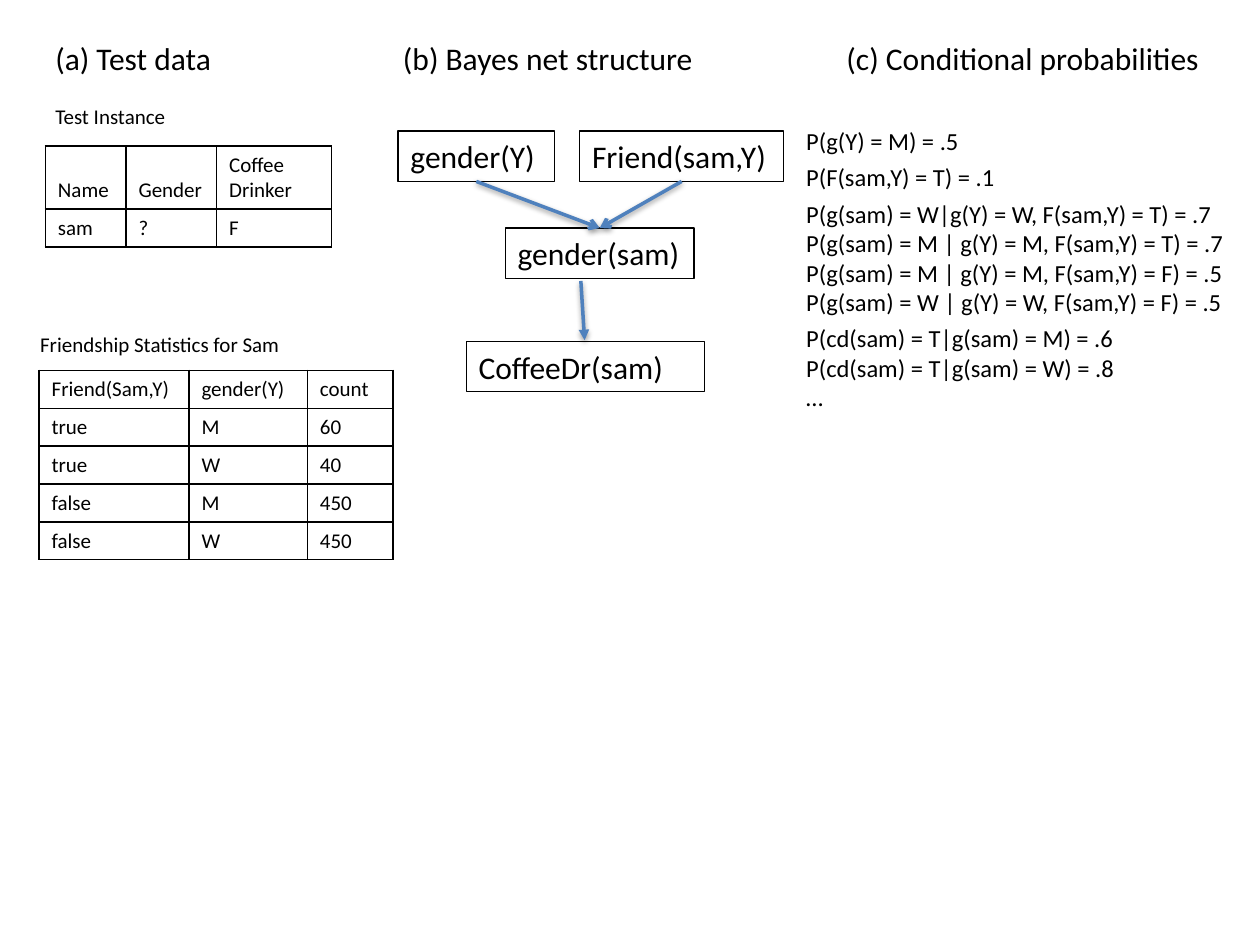
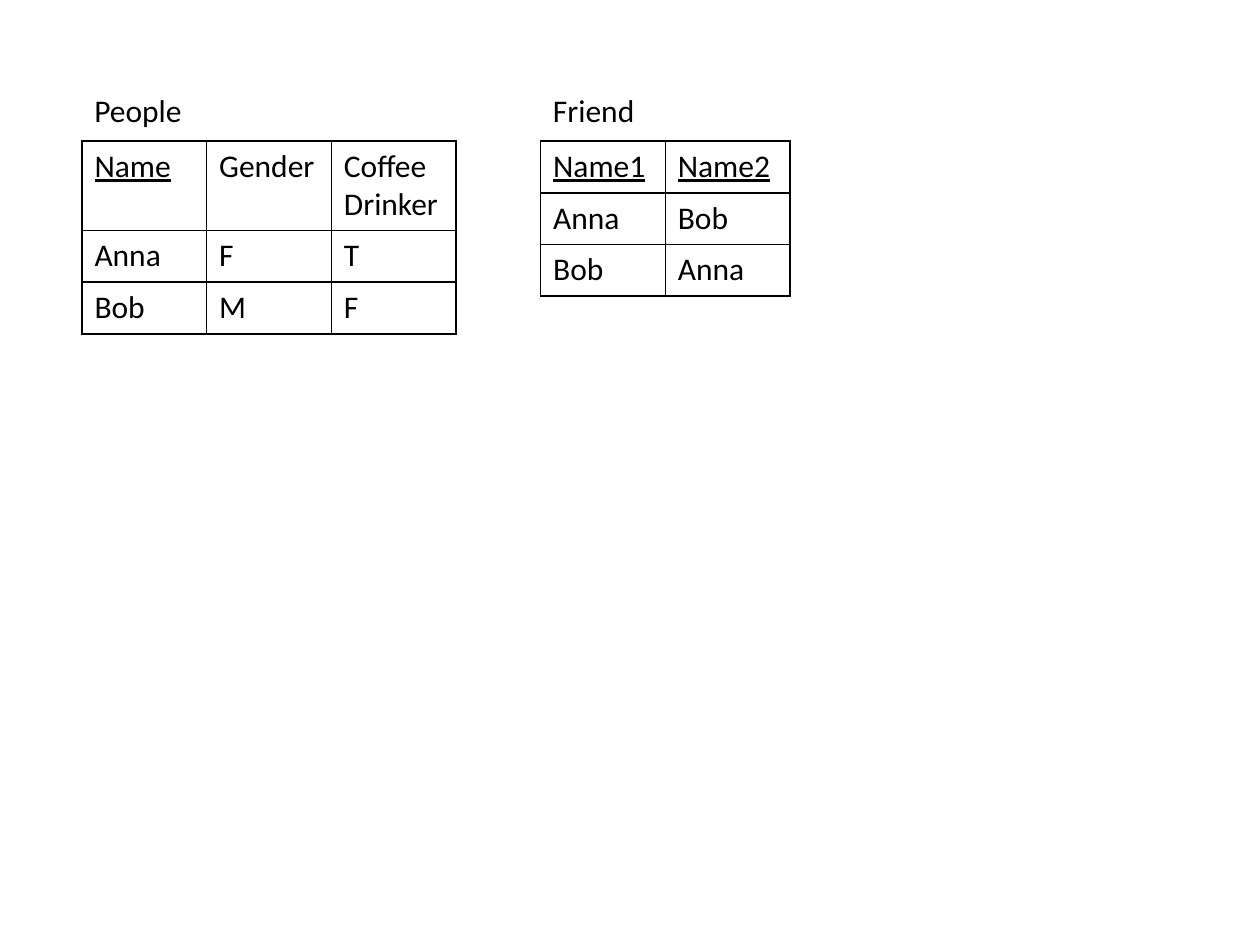
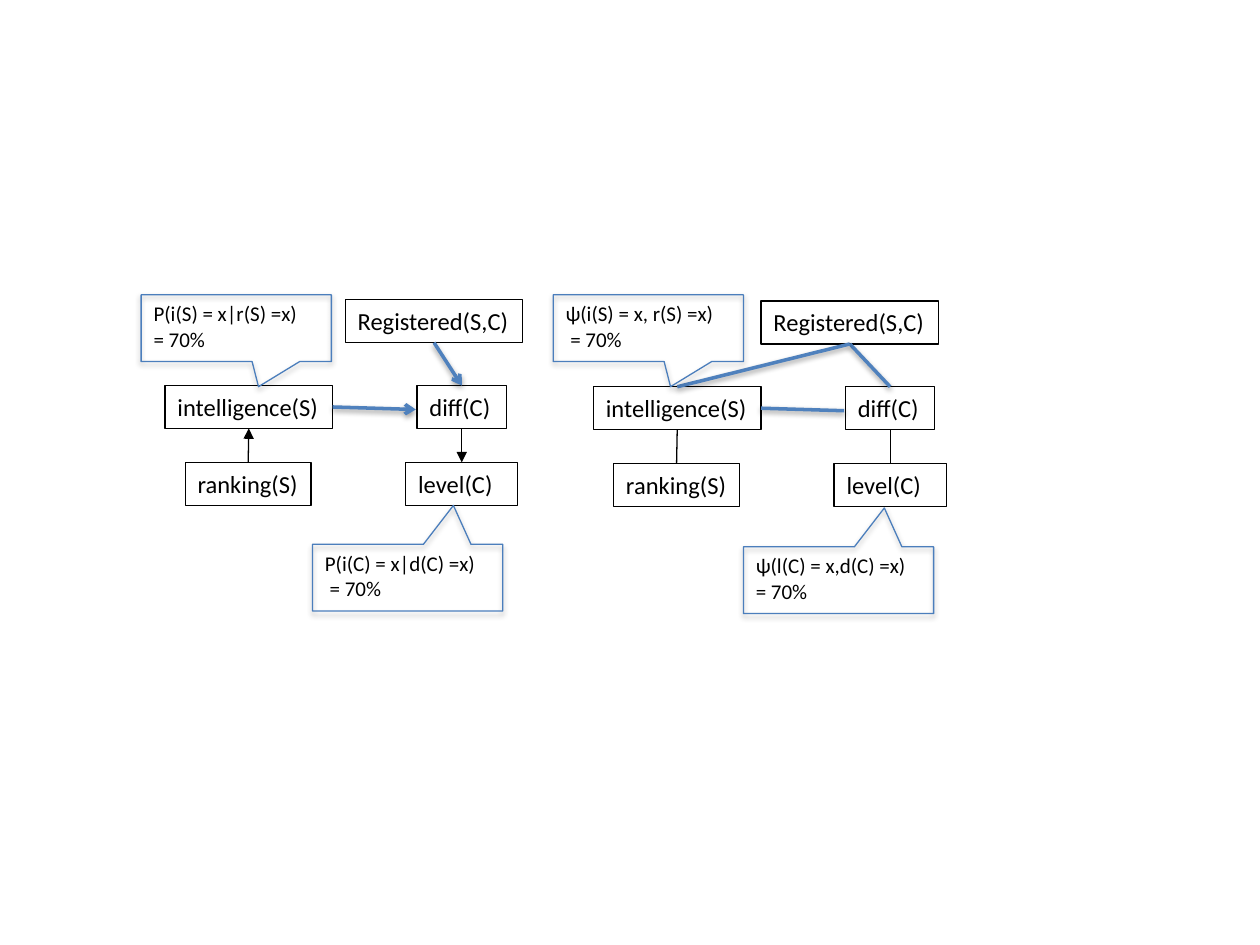
from lxml import etree
from pptx import Presentation
from pptx.dml.color import RGBColor
from pptx.enum.shapes import MSO_CONNECTOR, MSO_SHAPE
from pptx.enum.text import MSO_ANCHOR, MSO_AUTO_SIZE, PP_ALIGN
from pptx.oxml.ns import qn
from pptx.util import Emu, Pt

RECT = MSO_SHAPE.RECTANGLE
BUBBLE = MSO_SHAPE.RECTANGULAR_CALLOUT
LINE = MSO_CONNECTOR.STRAIGHT
TOP, FOOT = MSO_ANCHOR.TOP, MSO_ANCHOR.BOTTOM
LEFT = PP_ALIGN.LEFT
GROW = MSO_AUTO_SIZE.SHAPE_TO_FIT_TEXT

FONT = "Calibri"
INK = {"text": "000000", "blue": "4F81BD", "rim": "4B7EBC"}
UP, DOWN = 0, 2  # connection sites at the top and foot of a box


def px(num):
    """One px is a hundredth of an inch."""
    return Emu(num * 9144)


def hue(name):
    return RGBColor.from_string(INK[name])


# Text
def write(para, text, size, under=False):
    para.alignment = LEFT
    for num, part in enumerate(text.split("\n")):
        if num:
            para.add_line_break()
        run = para.add_run()
        run.text = part
        font = run.font
        font.name, font.size, font.underline = FONT, Pt(size), under
        font.color.rgb = hue("text")


def fill_text(frame, groups, size, wrap):
    """Each group is a list of lines; later groups start with a small gap."""
    frame.word_wrap = wrap
    frame.auto_size = GROW
    frame.vertical_anchor = TOP
    para = None
    for lines in groups:
        for num, line in enumerate(lines):
            gap = para is not None and num == 0
            para = frame.add_paragraph() if para is not None else frame.paragraphs[0]
            if gap:
                para.space_before = Pt(4)
            write(para, line, size)


def label(slide, area, groups, size, wrap=True):
    box = slide.shapes.add_textbox(*map(px, area))
    fill_text(box.text_frame, groups, size, wrap)


# Boxes and lines
def shade(shape, dist=0, alpha=0):
    """Give a soft shadow below, or none when dist is 0."""
    prop = shape._element.spPr
    for old in prop.findall(qn("a:effectLst")):
        prop.remove(old)
    list_ = etree.SubElement(prop, qn("a:effectLst"))
    if dist:
        soft = etree.SubElement(list_, qn("a:outerShdw"), blurRad="40000",
                                dist=str(dist), dir="5400000", rotWithShape="0")
        tone = etree.SubElement(soft, qn("a:srgbClr"), val=INK["text"])
        etree.SubElement(tone, qn("a:alpha"), val=str(alpha * 1000))


def frame_box(slide, kind, area, color):
    box = slide.shapes.add_shape(kind, *map(px, area))
    box.fill.background()
    box.line.color.rgb = hue(color)
    box.line.width = Pt(0.75)
    return box


def node(slide, area, text, size, wrap=False):
    box = frame_box(slide, RECT, area, "text")
    shade(box)
    fill_text(box.text_frame, [[text]], size, wrap)
    return box


def draw(slide, start, end, tip=None, bold=True):
    line = slide.shapes.add_connector(LINE, *map(px, start + end))
    line.line.color.rgb = hue("blue" if bold else "text")
    line.line.width = Pt(2 if bold else 0.75)
    if tip:
        etree.SubElement(line.line._get_or_add_ln(), qn("a:tailEnd"), type=tip)
    if bold:
        shade(line, 20000, 38)
    else:
        shade(line)
    return line


def join(slide, head, site, tail, goal, tip=None, bold=True):
    line = draw(slide, (0, 0), (0, 0), tip, bold)
    line.begin_connect(head, site)
    line.end_connect(tail, goal)


def note(slide, left, top, lines, point):
    label(slide, (left, top, 161, 50), [lines], 12)
    box = frame_box(slide, BUBBLE, (left, top, 151, 53), "rim")
    for num, value in enumerate(point):
        box.adjustments[num] = value
    shade(box, 23000, 35)


# Tables
def edge(cell):
    prop = cell._tc.get_or_add_tcPr()
    for side in ("lnL", "lnR", "lnT", "lnB"):
        line = etree.SubElement(prop, qn("a:" + side), w="12700")
        solid = etree.SubElement(line, qn("a:solidFill"))
        etree.SubElement(solid, qn("a:srgbClr"), val=INK["text"])


def grid(slide, left, top, wide, high, rows, size, keys=(), anchor=TOP):
    """Draw a ruled table; the headings named in keys are underlined."""
    area = (left, top, sum(wide), sum(high))
    table = slide.shapes.add_table(len(rows), len(wide), *map(px, area)).table
    table.first_row = table.horz_banding = False
    for col, width in zip(table.columns, wide):
        col.width = px(width)
    for num, (row, height) in enumerate(zip(rows, high)):
        table.rows[num].height = px(height)
        for pos, text in enumerate(row):
            cell = table.cell(num, pos)
            edge(cell)
            cell.fill.background()
            cell.vertical_anchor = TOP if num else anchor
            write(cell.text_frame.paragraphs[0], text, size, num == 0 and text in keys)


# Slides
def bayes(slide):
    heads = [(34, 148, "(a) Test data"), (310, 254, "(b) Bayes net structure"),
             (662, 303, "(c) Conditional probabilities")]
    for left, width, text in heads:
        label(slide, (left, 26, width, 40), [[text]], 18, False)

    # Test data
    label(slide, (34, 77, 231, 30), [["Test Instance"]], 12)
    grid(slide, 36, 116, (64, 72, 91), (50, 30),
         [("Name", "Gender", "Coffee\nDrinker"), ("sam", "?", "F")], 12, anchor=FOOT)
    label(slide, (22, 258, 239, 30), [["Friendship Statistics for Sam"]], 12)
    stats = [("Friend(Sam,Y)", "gender(Y)", "count"), ("true", "M", "60"),
             ("true", "W", "40"), ("false", "M", "450"), ("false", "W", "450")]
    grid(slide, 31, 294, (119, 94, 68), [30] * len(stats), stats, 12)

    # Network
    node(slide, (370, 271, 189, 40), "CoffeeDr(sam)", 18, True)
    sam = node(slide, (401, 181, 150, 40), "gender(sam)", 18)
    for left, width, text in ((316, 124, "gender(Y)"), (460, 162, "Friend(sam,Y)")):
        cause = node(slide, (left, 104, width, 40), text, 18)
        join(slide, cause, DOWN, sam, UP, "arrow")
    draw(slide, (461, 223), (464, 270), "triangle")

    # Probabilities
    label(slide, (630, 95, 357, 239), [
        ["P(g(Y) = M) = .5"],
        ["P(F(sam,Y) = T) = .1"],
        ["P(g(sam) = W|g(Y) = W, F(sam,Y) = T) = .7",
         "P(g(sam) = M | g(Y) = M, F(sam,Y) = T) = .7",
         "P(g(sam) = M | g(Y) = M, F(sam,Y) = F) = .5",
         "P(g(sam) = W | g(Y) = W, F(sam,Y) = F) = .5"],
        ["P(cd(sam) = T|g(sam) = M) = .6",
         "P(cd(sam) = T|g(sam) = W) = .8",
         "…"],
    ], 14)


def people(slide):
    folk = [("Name", "Gender", "Coffee\nDrinker"), ("Anna", "F", "T"), ("Bob", "M", "F")]
    pairs = [("Name1", "Name2"), ("Anna", "Bob"), ("Bob", "Anna")]
    for left, title, rows, first in ((65, "People", folk, 71), (429, "Friend", pairs, 41)):
        wide = [99] * len(rows[0])
        label(slide, (left, 67, sum(wide), 40), [[title]], 18)
        grid(slide, left, 112, wide, (first, 41, 41), rows, 18, ("Name", "Name1", "Name2"))


def net(slide, left, top, reg_x, directed):
    """Draw the course network, with arrows or with plain links."""
    tip, thin = ("arrow", "triangle") if directed else (None, None)
    rank = node(slide, (left + 16, top + 61, 100, 34), "ranking(S)", 14)
    mind = node(slide, (left, top, 133, 34), "intelligence(S)", 14)
    diff = node(slide, (left + 200, top, 71, 34), "diff(C)", 14, True)
    level = node(slide, (left + 191, top + 61, 89, 34), "level(C)", 14, True)
    reg = node(slide, (reg_x, top - 68, 141, 34), "Registered(S,C)", 14)
    join(slide, rank, UP, mind, DOWN, thin, False)
    join(slide, diff, DOWN, level, UP, thin, False)
    join(slide, reg, DOWN, diff, UP, tip)
    draw(slide, (left + 133, top + 17), (left + 199, top + 19), tip)
    if not directed:
        join(slide, mind, UP, reg, DOWN)


def nets(slide):
    net(slide, 131, 306, 274, True)
    net(slide, 471, 307, 604, False)
    low, high = (0.117, 0.876), (0.241, -1.082)
    note(slide, 112, 234, ["P(i(S) = x|r(S) =x)", "= 70%"], low)
    note(slide, 248, 432, ["P(i(C) = x|d(C) =x)", " = 70%"], high)
    note(slide, 439, 234, ["ψ(i(S) = x, r(S) =x)", " = 70%"], low)
    note(slide, 590, 434, ["ψ(l(C) = x,d(C) =x)", "= 70%"], high)


def main():
    deck = Presentation()
    deck.slide_width, deck.slide_height = px(1000), px(750)
    for build in (bayes, people, nets):
        build(deck.slides.add_slide(deck.slide_layouts[6]))
    deck.save("out.pptx")


if __name__ == "__main__":
    main()
